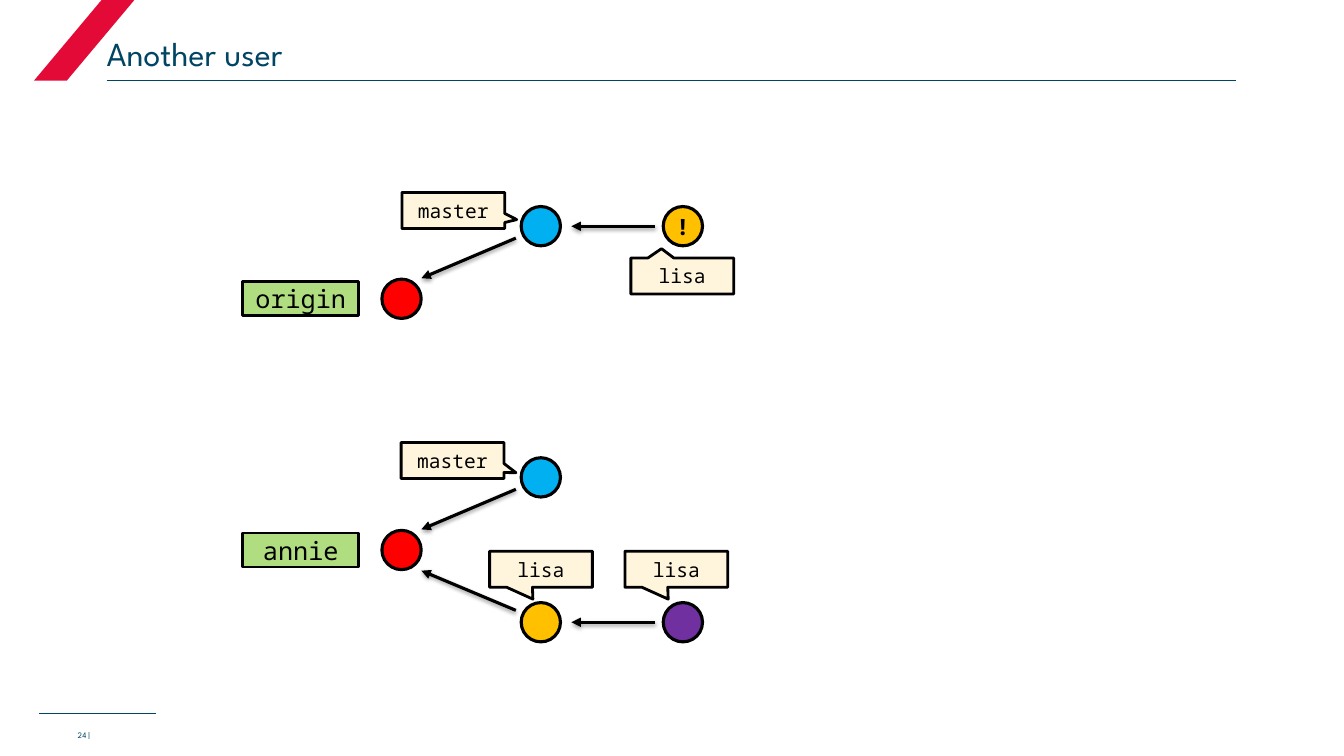
from dataclasses import dataclass

from lxml.etree import SubElement
from pptx import Presentation
from pptx.dml.color import RGBColor
from pptx.enum.shapes import MSO_CONNECTOR, MSO_SHAPE as Preset
from pptx.enum.text import MSO_ANCHOR as Anchor, PP_ALIGN as Align
from pptx.oxml.ns import qn
from pptx.util import Cm, Pt

BLACK, NAVY, CRIMSON = "000000", "004563", "E40A38"
GREEN, CREAM = "B0DD7F", "FEF5DC"
RED, BLUE, YELLOW, PURPLE = "FF0000", "00B0F0", "FFC000", "7030A0"
HEADING_FONT, CODE_FONT = "League Spartan", "Noto Sans Mono"

# Commit columns and rows, in centimetres
FIRST, SECOND, THIRD = 10.12, 13.63, 17.21
ORIGIN_TOP, ORIGIN_BASE = 5.7, 7.53
ANNIE_TOP, ANNIE_BASE, ANNIE_LOW = 12.03, 13.86, 15.68
COMMIT_SIZE = 0.99
REPO_LEFT, REPO_WIDTH, REPO_HEIGHT = 6.12, 2.92, 0.86
BRANCH_WIDTH, BRANCH_HEIGHT = 2.59, 0.91


@dataclass
class Repo:
    name: str
    y: float


@dataclass
class Commit:
    x: float
    y: float
    color: str
    mark: str = ""


@dataclass
class Branch:
    name: str
    left: float
    top: float
    tip: tuple[float, float]


@dataclass
class Parent:
    child: Commit
    parent: Commit


repos = [Repo("annie", ANNIE_BASE), Repo("origin", ORIGIN_BASE)]

origin_red = Commit(FIRST, ORIGIN_BASE, RED)
origin_blue = Commit(SECOND, ORIGIN_TOP, BLUE)
origin_yellow = Commit(THIRD, ORIGIN_TOP, YELLOW, "!")
annie_red = Commit(FIRST, ANNIE_BASE, RED)
annie_blue = Commit(SECOND, ANNIE_TOP, BLUE)
annie_yellow = Commit(SECOND, ANNIE_LOW, YELLOW)
annie_purple = Commit(THIRD, ANNIE_LOW, PURPLE)
commits = [origin_red, origin_blue, origin_yellow,
           annie_red, annie_blue, annie_yellow, annie_purple]

parents = [
    Parent(origin_blue, origin_red),
    Parent(origin_yellow, origin_blue),
    Parent(annie_blue, annie_red),
    Parent(annie_yellow, annie_red),
    Parent(annie_purple, annie_yellow),
]

branches = [
    Branch("master", 10.13, 4.85, (0.617, 0.252)),
    Branch("master", 10.11, 11.15, (0.617, 0.338)),
    Branch("lisa", 15.9, 6.5, (-0.202, -0.757)),
    Branch("lisa", 12.34, 13.89, (-0.079, 0.828)),
    Branch("lisa", 15.75, 13.89, (-0.079, 0.828)),
]

deck = Presentation()
deck.slide_width, deck.slide_height = Cm(33.87), Cm(19.05)
slide = deck.slides.add_slide(deck.slide_layouts[6])


def rgb(color: str) -> RGBColor:
    return RGBColor.from_string(color)


def write(shape, text: str, size: float, font: str, color: str,
          align=Align.CENTER, anchor=Anchor.MIDDLE, bold: bool = False) -> None:
    frame = shape.text_frame
    frame.margin_left = frame.margin_right = 0
    frame.margin_top = frame.margin_bottom = 0
    frame.vertical_anchor = anchor
    frame.word_wrap = True
    frame.text = text
    paragraph = frame.paragraphs[0]
    paragraph.alignment = align
    for run in paragraph.runs:
        run.font.name, run.font.size, run.font.bold = font, Pt(size), bold
        run.font.color.rgb = rgb(color)


def add_box(preset, left: float, top: float, width: float, height: float,
            fill: str, line_width: float = 0):
    box = slide.shapes.add_shape(preset, Cm(left), Cm(top), Cm(width), Cm(height))
    box.shadow.inherit = False
    box.fill.solid()
    box.fill.fore_color.rgb = rgb(fill)
    if line_width:
        box.line.color.rgb = rgb(BLACK)
        box.line.width = Pt(line_width)
    else:
        box.line.fill.background()
    return box


def add_line(x1: float, y1: float, x2: float, y2: float, color: str, width: float):
    line = slide.shapes.add_connector(MSO_CONNECTOR.STRAIGHT,
                                      Cm(x1), Cm(y1), Cm(x2), Cm(y2))
    line.line.color.rgb = rgb(color)
    line.line.width = Pt(width)
    effects = SubElement(line._element.spPr, qn("a:effectLst"))
    return line, effects


def add_caption(text: str, left: float, top: float, width: float, height: float,
                size: float, align) -> None:
    caption = slide.shapes.add_textbox(Cm(left), Cm(top), Cm(width), Cm(height))
    write(caption, text, size, HEADING_FONT, NAVY, align, Anchor.BOTTOM)


def add_arrow(link: Parent) -> None:
    child, parent = link.child, link.parent
    if child.y == parent.y:
        ends = child.x - 0.7, child.y, parent.x + 0.77, parent.y
    else:
        way = 1 if parent.y > child.y else -1
        ends = (child.x - 0.63, child.y + 0.3 * way,
                parent.x + 0.5, parent.y - 0.52 * way)
    arrow, effects = add_line(*ends, BLACK, 2.25)
    SubElement(arrow.line._get_or_add_ln(), qn("a:tailEnd"), type="triangle")
    shadow = SubElement(effects, qn("a:outerShdw"), blurRad=str(Pt(3.1)),
                        dist=str(Pt(1.6)), dir="5400000", rotWithShape="0")
    tint = SubElement(shadow, qn("a:srgbClr"), val=BLACK)
    SubElement(tint, qn("a:alpha"), val="38000")


def add_repo(repo: Repo) -> None:
    box = add_box(Preset.RECTANGLE, REPO_LEFT, repo.y - REPO_HEIGHT / 2,
                  REPO_WIDTH, REPO_HEIGHT, GREEN, 2)
    write(box, repo.name, 18, CODE_FONT, BLACK)


def add_commit(commit: Commit) -> None:
    circle = add_box(Preset.OVAL, commit.x - COMMIT_SIZE / 2,
                     commit.y - COMMIT_SIZE / 2, COMMIT_SIZE, COMMIT_SIZE,
                     commit.color, 2.25)
    if commit.mark:
        write(circle, commit.mark, 16, CODE_FONT, BLACK, bold=True)


def add_branch(branch: Branch) -> None:
    callout = add_box(Preset.RECTANGULAR_CALLOUT, branch.left, branch.top,
                      BRANCH_WIDTH, BRANCH_HEIGHT, CREAM, 2)
    callout.adjustments[0], callout.adjustments[1] = branch.tip
    write(callout, branch.name, 14, CODE_FONT, BLACK)


# Frame, title and page number
add_line(0.99, 17.98, 3.94, 17.98, NAVY, 0.5)
slash = add_box(Preset.PARALLELOGRAM, 0.86, -0.05, 2.57, 2.08, CRIMSON)
slash.adjustments[0] = 0.838
add_line(2.69, 2.03, 31.14, 2.03, NAVY, 0.5)
add_caption("Another user", 2.69, 0.91, 28.45, 0.94, 24, Align.LEFT)
add_caption("24 |", 0.56, 18.08, 1.71, 0.58, 6, Align.RIGHT)

# Commit graphs of both repositories
for repo in repos:
    add_repo(repo)
for commit in commits:
    add_commit(commit)
for link in parents:
    add_arrow(link)
for branch in branches:
    add_branch(branch)

deck.save("out.pptx")
